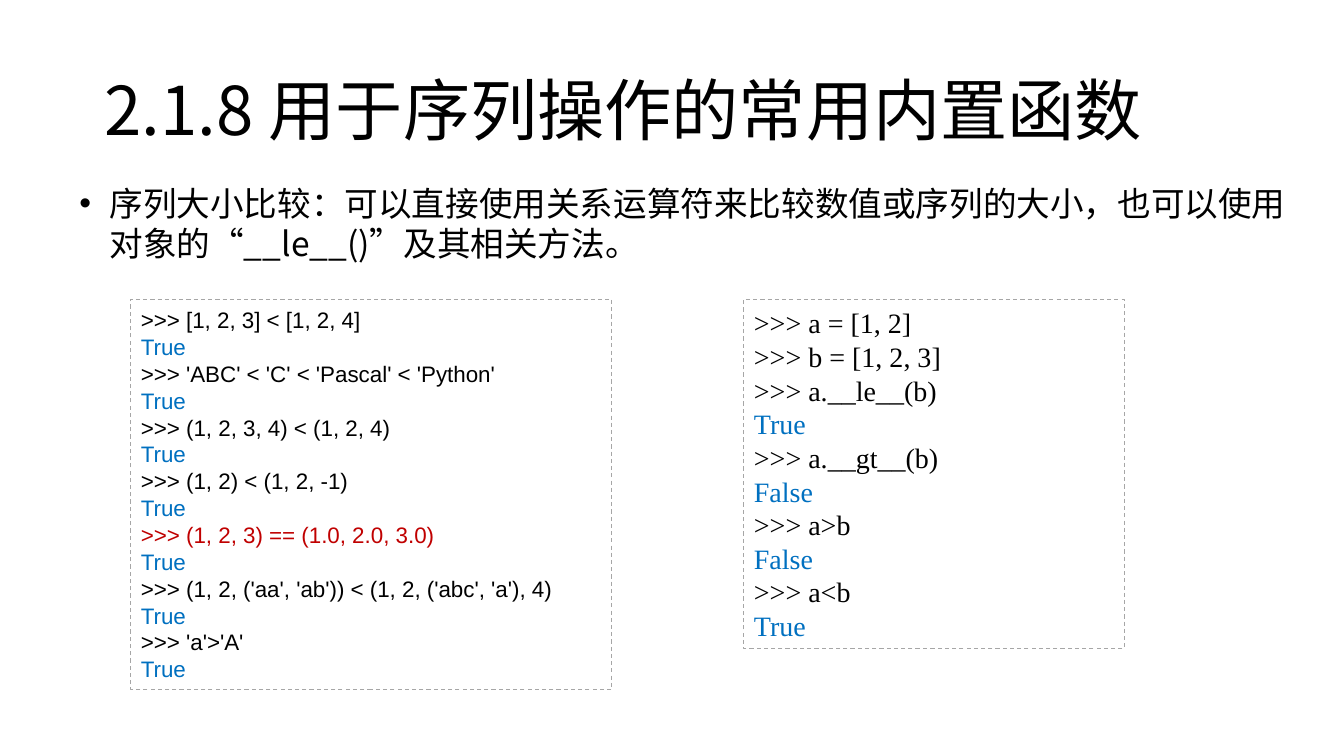
import pptx
import pptx.dml.color
import pptx.enum.dml
import pptx.enum.shapes
import pptx.enum.text
import pptx.oxml.ns
import pptx.util
from lxml import etree
from pptx.util import Cm

COLORS = {"text": "000000", "output": "0070C0", "highlight": "C00000", "border": "A6A6A6"}
HEADING_FONT = "Noto Sans CJK SC"
BODY_INDENT = Cm(0.76)

TITLE = "2.1.8 用于序列操作的常用内置函数"
EXPLANATION = (
    "序列大小比较：可以直接使用关系运算符来比较数值或序列的大小，"
    "也可以使用对象的“__le__()”及其相关方法。"
)
EQUALITY = ">>> (1, 2, 3) == (1.0, 2.0, 3.0)"
OPERATOR_SESSION = [
    ">>> [1, 2, 3] < [1, 2, 4]", "True",
    ">>> 'ABC' < 'C' < 'Pascal' < 'Python'", "True",
    ">>> (1, 2, 3, 4) < (1, 2, 4)", "True",
    ">>> (1, 2) < (1, 2, -1)", "True",
    EQUALITY, "True",
    ">>> (1, 2, ('aa', 'ab')) < (1, 2, ('abc', 'a'), 4)", "True",
    ">>> 'a'>'A'", "True",
]
METHOD_SESSION = [
    ">>> a = [1, 2]", ">>> b = [1, 2, 3]",
    ">>> a.__le__(b)", "True",
    ">>> a.__gt__(b)", "False",
    ">>> a>b", "False",
    ">>> a<b", "True",
]


def rgb(name):
    return pptx.dml.color.RGBColor.from_string(COLORS[name])


def add_tag(parent, tag, **attributes):
    return etree.SubElement(parent, pptx.oxml.ns.qn(tag), **attributes)


def format_paragraph(paragraph, font, size, color, spacing):
    paragraph.alignment = pptx.enum.text.PP_ALIGN.LEFT
    paragraph.line_spacing = spacing
    for run in paragraph.runs:
        run.font.name = font
        run.font.size = pptx.util.Pt(size)
        run.font.color.rgb = rgb(color)
        add_tag(run.font._element, "a:ea", typeface=font)


def fit_frame(shape, box, anchor, margins):
    shape.left, shape.top, shape.width, shape.height = box
    frame = shape.text_frame
    frame.word_wrap = True
    frame.auto_size = pptx.enum.text.MSO_AUTO_SIZE.NONE
    frame.vertical_anchor = anchor
    frame.margin_left = frame.margin_right = margins[0]
    frame.margin_top = frame.margin_bottom = margins[1]
    return frame


def place_title(title, box):
    frame = fit_frame(title, box, pptx.enum.text.MSO_ANCHOR.MIDDLE, (Cm(0.3), Cm(0.15)))
    frame.text = TITLE
    format_paragraph(frame.paragraphs[0], HEADING_FONT, 48, "text", 0.9)


def place_explanation(body, box):
    frame = fit_frame(body, box, pptx.enum.text.MSO_ANCHOR.TOP, (Cm(0.3), Cm(0.15)))
    frame.text = EXPLANATION
    paragraph = frame.paragraphs[0]
    format_paragraph(paragraph, HEADING_FONT, 24, "text", pptx.util.Pt(28.8))
    paragraph.space_before = pptx.util.Pt(12)
    properties = paragraph._p.get_or_add_pPr()
    properties.set("marL", str(BODY_INDENT))
    properties.set("indent", str(-BODY_INDENT))
    add_tag(properties, "a:buFont", typeface="Arial")
    add_tag(properties, "a:buChar", char="•")


def line_color(code):
    if code == EQUALITY:
        return "highlight"
    return "text" if code.startswith(">>>") else "output"


def add_session(slide, box, lines, font, size):
    session = slide.shapes.add_shape(pptx.enum.shapes.MSO_SHAPE.RECTANGLE, *box)
    session.shadow.inherit = False
    session.fill.background()
    session.line.color.rgb = rgb("border")
    session.line.width = pptx.util.Pt(0.75)
    session.line.dash_style = pptx.enum.dml.MSO_LINE.DASH
    frame = fit_frame(session, box, pptx.enum.text.MSO_ANCHOR.MIDDLE, (Cm(0.25), Cm(0.13)))
    frame.text = "\n".join(lines)
    for paragraph, code in zip(frame.paragraphs, lines):
        format_paragraph(paragraph, font, size, line_color(code), pptx.util.Pt(size * 1.2))


def build_comparison_slide(deck):
    slide = deck.slides.add_slide(deck.slide_layouts[1])
    place_title(slide.shapes.title, (Cm(2.33), Cm(1.02), Cm(29.21), Cm(3.68)))
    place_explanation(slide.placeholders[1], (Cm(1.7), Cm(4.45), Cm(31.14), Cm(12.6)))
    session_top = Cm(7.54)
    add_session(slide, (Cm(3.3), session_top, Cm(12.12), Cm(9.83)), OPERATOR_SESSION, "Arial", 16)
    add_session(slide, (Cm(18.75), session_top, Cm(9.58), Cm(8.81)), METHOD_SESSION, "Times New Roman", 20)


def main():
    deck = pptx.Presentation()
    deck.slide_width, deck.slide_height = Cm(33.87), Cm(19.05)
    build_comparison_slide(deck)
    deck.save("out.pptx")


if __name__ == "__main__":
    main()
